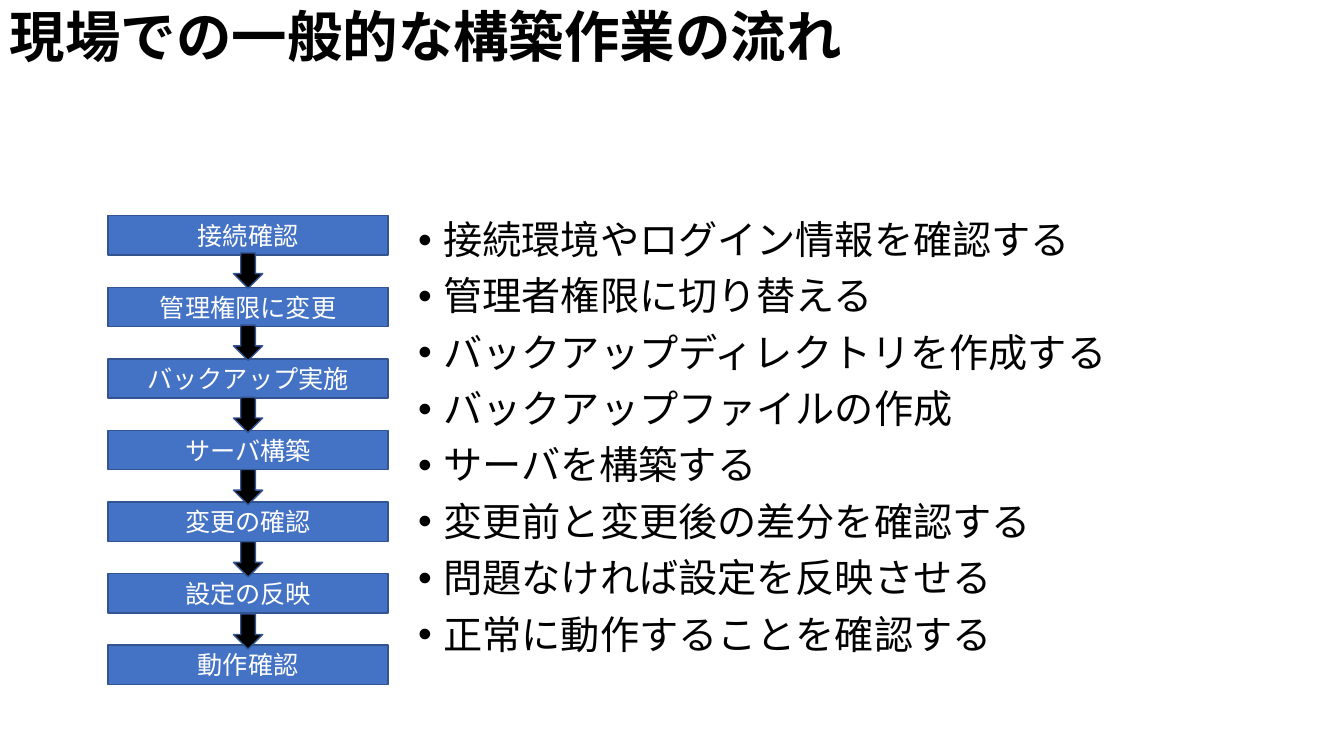
from lxml.etree import SubElement
from pptx import Presentation
from pptx.dml.color import RGBColor
from pptx.enum.shapes import MSO_SHAPE
from pptx.enum.text import MSO_ANCHOR, PP_ALIGN
from pptx.oxml.ns import qn
from pptx.util import Inches, Pt

TITLE = "現場での一般的な構築作業の流れ"
STEPS = [
    "接続確認",
    "管理権限に変更",
    "バックアップ実施",
    "サーバ構築",
    "変更の確認",
    "設定の反映",
    "動作確認",
]
DETAILS = [
    "接続環境やログイン情報を確認する",
    "管理者権限に切り替える",
    "バックアップディレクトリを作成する",
    "バックアップファイルの作成",
    "サーバを構築する",
    "変更前と変更後の差分を確認する",
    "問題なければ設定を反映させる",
    "正常に動作することを確認する",
]
COLORS = {"text": "000000", "step": "4472C4", "edge": "325491",
          "label": "FFFFFF", "arrow": "000000"}
FONT = "Noto Sans CJK JP"
SLIDE_WIDTH, SLIDE_HEIGHT = 13.33, 7.5
FLOW_LEFT, FLOW_TOP = 1.07, 2.14
STEP_WIDTH, STEP_HEIGHT, STEP_PITCH = 2.78, 0.39, 0.71
ARROW_LENGTH, ARROW_THICKNESS = 0.35, 0.29
ARROW_TOP, ARROW_PITCH = 2.54, 0.716


def color(name):
    return RGBColor.from_string(COLORS[name])


def add_span(para, text, size, color_name, bold=False):
    span = para.add_run()
    span.text = text
    span.font.size = Pt(size)
    span.font.bold = bold
    span.font.name = FONT
    span.font.color.rgb = color(color_name)
    SubElement(span.font._element, qn("a:ea"), typeface=FONT)


def add_text_box(slide, left, top, width, height):
    box = slide.shapes.add_textbox(*map(Inches, (left, top, width, height)))
    box.text_frame.word_wrap = True
    return box.text_frame


def add_bullet(para):
    properties = para._p.get_or_add_pPr()
    properties.set("marL", str(Inches(0.25)))
    properties.set("indent", str(-Inches(0.25)))
    SubElement(properties, qn("a:buFont"), typeface="Arial")
    SubElement(properties, qn("a:buChar"), char="•")


def add_flow_shape(slide, kind, left, top, width, height, fill):
    shape = slide.shapes.add_shape(kind, *map(Inches, (left, top, width, height)))
    shape.shadow.inherit = False
    shape.fill.solid()
    shape.fill.fore_color.rgb = color(fill)
    shape.line.color.rgb = color("edge")
    shape.line.width = Pt(1)
    return shape


def add_title(slide):
    frame = add_text_box(slide, 0, 0.02, 11.5, 0.75)
    frame.vertical_anchor = MSO_ANCHOR.MIDDLE
    para = frame.paragraphs[0]
    para.line_spacing = 0.9
    add_span(para, TITLE, 39.6, "text", bold=True)


def add_details(slide):
    frame = add_text_box(slide, 4.05, FLOW_TOP, 8.36, 4.62)
    for index, detail in enumerate(DETAILS):
        para = frame.add_paragraph() if index else frame.paragraphs[0]
        para.line_spacing = 0.9
        para.space_before = Pt(10)
        add_bullet(para)
        add_span(para, detail, 28, "text")


def add_flow(slide):
    for index, step in enumerate(STEPS):
        box = add_flow_shape(slide, MSO_SHAPE.RECTANGLE, FLOW_LEFT,
                             FLOW_TOP + index * STEP_PITCH,
                             STEP_WIDTH, STEP_HEIGHT, "step")
        frame = box.text_frame
        frame.margin_left = frame.margin_right = 0
        frame.margin_top = frame.margin_bottom = 0
        frame.vertical_anchor = MSO_ANCHOR.MIDDLE
        para = frame.paragraphs[0]
        para.alignment = PP_ALIGN.CENTER
        add_span(para, step, 18, "label")

    arrow_left = FLOW_LEFT + (STEP_WIDTH - ARROW_LENGTH) / 2
    for index in range(len(STEPS) - 1):
        arrow = add_flow_shape(slide, MSO_SHAPE.RIGHT_ARROW, arrow_left,
                               ARROW_TOP + index * ARROW_PITCH,
                               ARROW_LENGTH, ARROW_THICKNESS, "arrow")
        arrow.rotation = 90


def main():
    deck = Presentation()
    deck.slide_width = Inches(SLIDE_WIDTH)
    deck.slide_height = Inches(SLIDE_HEIGHT)
    slide = deck.slides.add_slide(deck.slide_layouts[6])
    add_title(slide)
    add_details(slide)
    add_flow(slide)
    deck.save("out.pptx")


if __name__ == "__main__":
    main()
